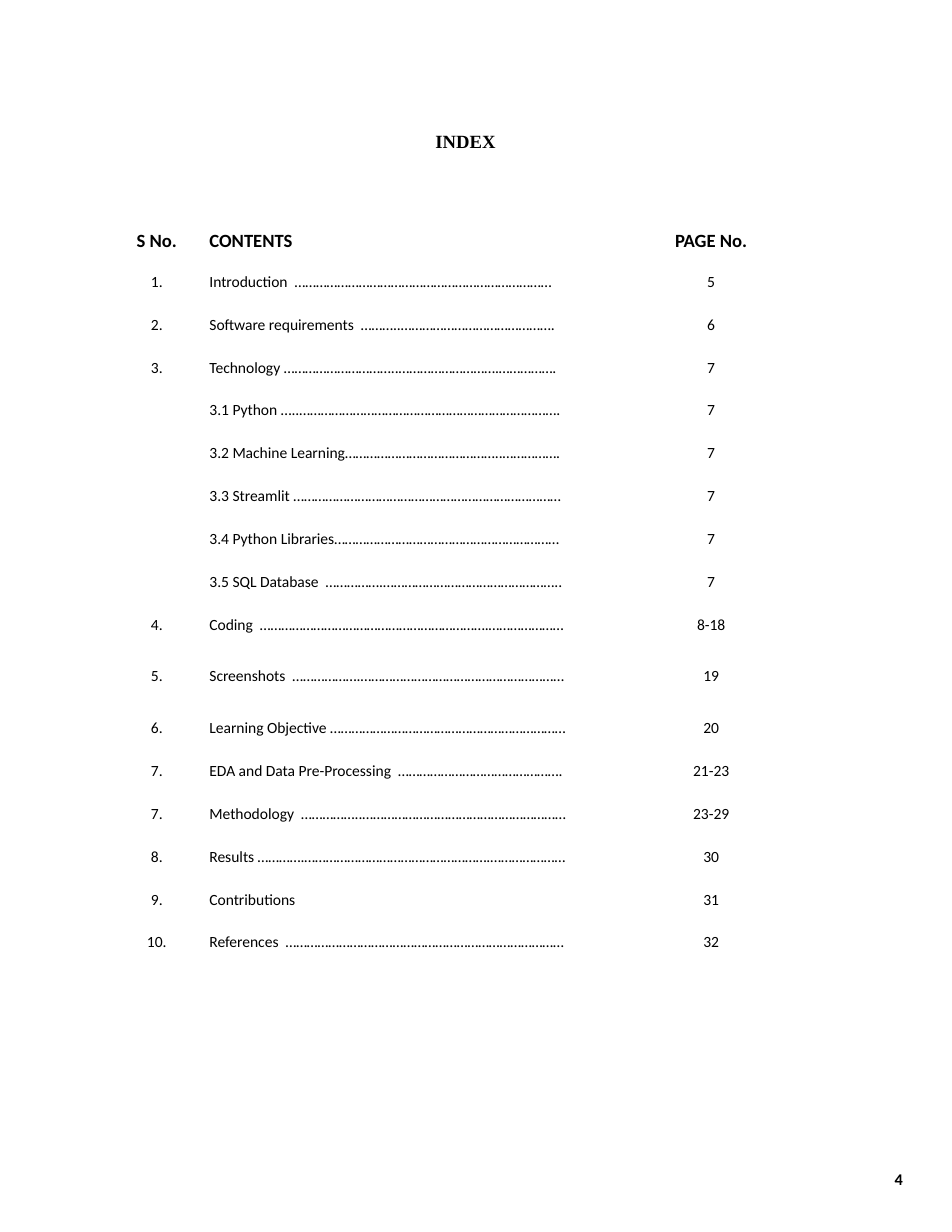
import pptx
import pptx.util
import pptx.dml.color
import pptx.enum.text
from lxml import etree

PX = 3048  # EMU in one px, 300 px to the inch
INK = "000000"
BODY = "Calibri"
ALIGN = pptx.enum.text.PP_ALIGN
COLS = (222, 1095, 558)
ROW, TALL = 115, 138

HEAD = ("S No.", "CONTENTS", "PAGE No.")
ITEMS = [
    ("1.", "Introduction  ………………………………………………………………", "5"),
    ("2.", "Software requirements  ………..…………………………………….", "6"),
    ("3.", "Technology …………………………..……………………….…………….", "7"),
    ("", "3.1 Python …..……………………………………………………………….", "7"),
    ("", "3.2 Machine Learning……………………………………..…………….", "7"),
    ("", "3.3 Streamlit …………………………………………………………………", "7"),
    ("", "3.4 Python Libraries………………………………………………………", "7"),
    ("", "3.5 SQL Database  …………….…………………………………………..", "7"),
    ("4.", "Coding  ……………………………………………………….…………………", "8-18"),
    ("5.", "Screenshots  ……………….…………………………………………………", "19"),
    ("6.", "Learning Objective …………………………………………………………", "20"),
    ("7.", "EDA and Data Pre-Processing  ……………………………………….", "21-23"),
    ("7.", "Methodology  ……………..…………………………………………………", "23-29"),
    ("8.", "Results ………….…………………………………………….…………………", "30"),
    ("9.", "Contributions", "31"),
    ("10.", "References  ……………………………………………………………………", "32"),
]
TALL_ROWS = (9, 10)


def px(*nums):
    return [pptx.util.Emu(n * PX) for n in nums]


def color(font, code):
    font.color.rgb = pptx.dml.color.RGBColor.from_string(code)


def style(para, size, face, bold):
    for run in para.runs:
        run.font.size = pptx.util.Pt(size)
        run.font.name = face
        run.font.bold = bold
        color(run.font, INK)


def label(slide, box, text, size, face):
    """Place one bold line of text that does not wrap."""
    frame = slide.shapes.add_textbox(*px(*box)).text_frame
    frame.word_wrap = False
    frame.auto_size = pptx.enum.text.MSO_AUTO_SIZE.SHAPE_TO_FIT_TEXT
    frame.text = text
    style(frame.paragraphs[0], size, face, True)


def fill_cell(cell, text, size, bold, align):
    cell.fill.background()
    para = cell.text_frame.paragraphs[0]
    para.text = text
    para.alignment = align
    style(para, size, BODY, bold)
    if not text:  # keeps an empty cell from stretching its row
        end = etree.SubElement(para._p, pptx.oxml.ns.qn("a:endParaRPr"))
        end.set("sz", str(size * 100))


def index_table(slide, left, top):
    rows = [HEAD] + ITEMS
    tall = [TALL if r in TALL_ROWS else ROW for r in range(len(rows))]
    box = px(left, top, sum(COLS), sum(tall))
    table = slide.shapes.add_table(len(rows), len(COLS), *box).table
    table.first_row = table.horz_banding = False
    for col, wide in zip(table.columns, px(*COLS)):
        col.width = wide
    for row, high in zip(table.rows, px(*tall)):
        row.height = high
    for r, row in enumerate(rows):
        for c, text in enumerate(row):
            align = ALIGN.LEFT if c == 1 else ALIGN.CENTER
            fill_cell(table.cell(r, c), text, 10 if r else 12, r == 0, align)


def main():
    deck = pptx.Presentation()
    deck.slide_width, deck.slide_height = px(2550, 3300)
    slide = deck.slides.add_slide(deck.slide_layouts[6])

    # Title
    label(slide, (1137, 333, 222, 90), "INDEX", 12, "Times New Roman")
    # Contents
    index_table(slide, 309, 600)
    # Page number
    label(slide, (2367, 3117, 84, 84), "4", 10.5, BODY)

    deck.save("out.pptx")


if __name__ == "__main__":
    main()
